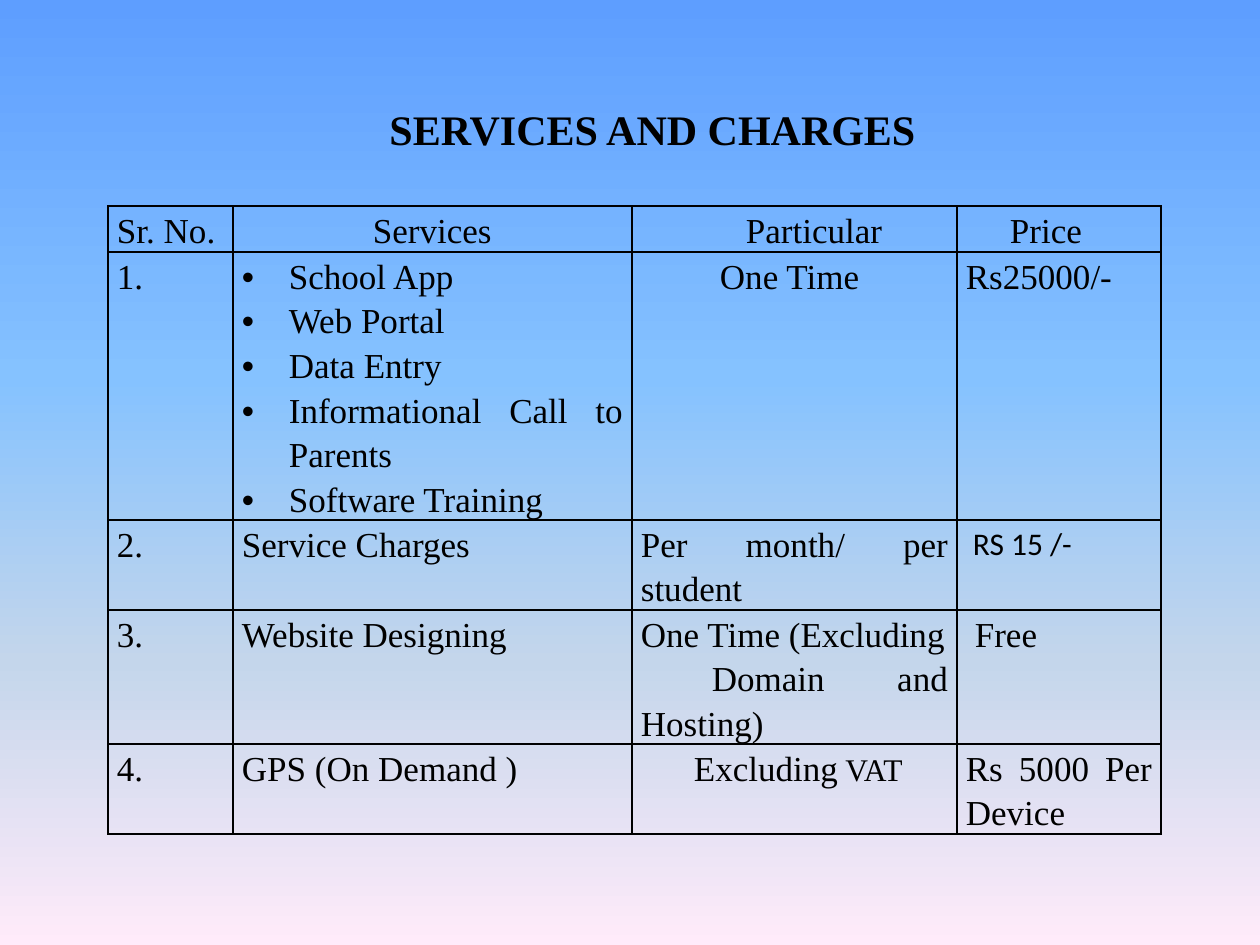
"""Build the services and charges slide with its price table."""
import pptx
import pptx.dml.color
import pptx.enum.text
import pptx.oxml
import pptx.oxml.ns
import pptx.util

PX = 914400 / 126
COLORS = {"ink": "000000"}
SKY = {0: "5E9EFF", 40: "85C2FF", 70: "C4D6EB", 100: "FFEBFA"}
SERIF, SANS = "Times New Roman", "Calibri"
ALIGN = pptx.enum.text.PP_ALIGN
NS = pptx.oxml.ns.nsdecls("a")


def px(length):
    return pptx.util.Emu(round(length * PX))


def apply(target, values):
    for name, value in values.items():
        setattr(target, name, value)


def line(*runs, indent=0, first=0, bullet=False, after=10):
    return {"runs": runs, "indent": indent, "first": first, "bullet": bullet, "after": after}


class ChargesSlide:
    """Holds the text style and the current slide."""

    def __init__(self, deck):
        self.slide = deck.slides.add_slide(deck.slide_layouts[6])
        self.body = {"size": pptx.util.Pt(20), "name": SERIF, "bold": False}

    def background(self, stops):
        fill = self.slide.background.fill
        fill.gradient()
        fill.gradient_angle = 270
        stop_list = self.slide.element.find(".//" + pptx.oxml.ns.qn("a:gsLst"))
        for stop in list(stop_list):
            stop_list.remove(stop)
        for percent, color in stops.items():
            stop_list.append(pptx.oxml.parse_xml(
                f'<a:gs {NS} pos="{percent * 1000}"><a:srgbClr val="{color}"/></a:gs>'))

    def run(self, paragraph, text, **changes):
        run = paragraph.add_run()
        run.text = text
        apply(run.font, self.body | changes)
        run.font.color.rgb = pptx.dml.color.RGBColor.from_string(COLORS["ink"])

    def title(self, text, left, top, width, height):
        frame = self.slide.shapes.add_textbox(*map(px, (left, top, width, height))).text_frame
        apply(frame, {"word_wrap": False,
                      "vertical_anchor": pptx.enum.text.MSO_ANCHOR.MIDDLE})
        frame.paragraphs[0].alignment = ALIGN.CENTER
        self.run(frame.paragraphs[0], text, size=pptx.util.Pt(24), bold=True)

    def paragraph(self, paragraph, content):
        apply(paragraph, {"alignment": ALIGN.JUSTIFY, "line_spacing": 1.15,
                          "space_after": pptx.util.Pt(content["after"])})
        properties = paragraph._p.get_or_add_pPr()
        properties.set("marL", str(px(content["indent"])))
        properties.set("indent", str(px(content["first"])))
        if content["bullet"]:
            for mark in ('buFont {} typeface="Arial"', 'buChar {} char="•"'):
                properties.append(pptx.oxml.parse_xml(f"<a:{mark.format(NS)}/>"))
        for text, changes in content["runs"]:
            self.run(paragraph, text, **changes)

    def cell(self, cell, lines):
        apply(cell, {"margin_left": px(9), "margin_right": px(9),
                     "margin_top": 0, "margin_bottom": 0})
        properties = cell._tc.get_or_add_tcPr()
        for side in "LRTB":
            properties.append(pptx.oxml.parse_xml(
                f'<a:ln{side} {NS} w="12700"><a:solidFill>'
                f'<a:srgbClr val="{COLORS["ink"]}"/></a:solidFill></a:ln{side}>'))
        cell.fill.background()
        frame = cell.text_frame
        for index, content in enumerate(lines):
            paragraph = frame.add_paragraph() if index else frame.paragraphs[0]
            self.paragraph(paragraph, content)

    def table(self, rows, left, top, widths, heights):
        table = self.slide.shapes.add_table(
            len(heights), len(widths), px(left), px(top),
            px(sum(widths)), px(sum(heights))).table
        apply(table, {"first_row": False, "horz_banding": False})
        for column, width in zip(table.columns, widths):
            column.width = px(width)
        for row, height, contents in zip(table.rows, heights, rows):
            row.height = px(height)
            for cell, lines in zip(row.cells, contents):
                self.cell(cell, lines)


def plain(text, indent=0):
    return [line((text, {}), indent=indent)]


def main():
    deck = pptx.Presentation()
    apply(deck, {"slide_width": px(1260), "slide_height": px(945)})
    small = {"size": pptx.util.Pt(18)}
    offerings = ["School App", "Web Portal", "Data Entry",
                 "Informational Call to Parents", "Software Training"]
    charges = [
        [plain("Sr. No."), plain("Services", 131), plain("Particular", 105), plain("Price", 44)],
        [plain("1."),
         [line((offering, {}), indent=47, first=-47, bullet=True, after=0)
          for offering in offerings],
         plain("One Time", 79), plain("Rs25000/-")],
        [plain("2."), plain("Service Charges"), plain("Per month/ per student"),
         [line(("RS 15 /-", small | {"name": SANS}), indent=7)]],
        [plain("3."), plain("Website Designing"),
         [line(("One Time (Excluding", {}), after=0),
          line(("Domain and Hosting)", {}), first=71)],
         plain("Free", 9)],
        [plain("4."), plain("GPS (On Demand )"),
         [line(("Excluding", {}), (" VAT", small), indent=53)],
         plain("Rs 5000 Per Device")],
    ]
    page = ChargesSlide(deck)
    page.background(SKY)
    page.table(charges, 108, 206, [125, 399, 325, 204], [46, 268, 90, 133, 90])
    page.title("SERVICES AND CHARGES", 374, 95, 557, 68)
    deck.save("out.pptx")


if __name__ == "__main__":
    main()
